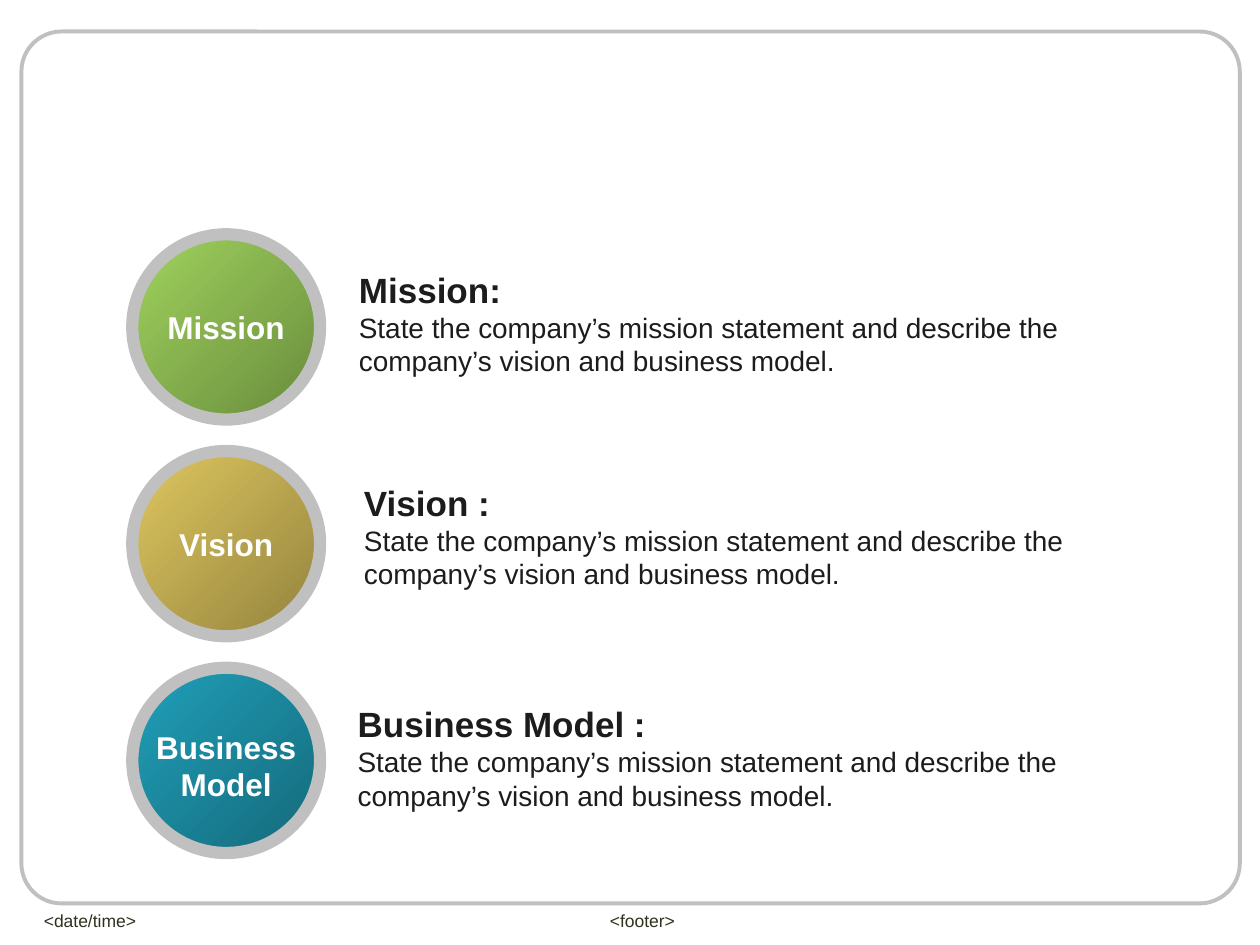
from pptx import Presentation
from pptx.dml.color import RGBColor
from pptx.enum.shapes import MSO_SHAPE as Shape
from pptx.enum.text import MSO_AUTO_SIZE as AutoSize, PP_ALIGN as Align
from pptx.util import Inches, Pt

COLORS = {
    "frame": "C0C0C0", "footer": "30311D", "text": "1C1C1C", "label": "FFFFFF",
    "green_dark": "698B3D", "green_light": "A0D35D",
    "gold_dark": "93833E", "gold_light": "DFC75F",
    "teal_dark": "15697A", "teal_light": "20A0BA",
}
WIDTH, HEIGHT = 10, 7.5
LEFT, TOP = 1.05, 1.86
ROW_PITCH = 1.72
CIRCLE_WIDTH, CIRCLE_HEIGHT = 1.49, 1.47
STATEMENT = ("State the company’s mission statement and describe the "
             "company’s vision and business model.")
ROWS = [
    {"label": "Mission", "label_size": (1.13, 0.4), "label_shift": 0, "hue": "green",
     "heading": "Mission:", "text_box": (1.7, 0.22, 6.42, 0.97)},
    {"label": "Vision", "label_size": (0.95, 0.4), "label_shift": 0, "hue": "gold",
     "heading": "Vision :", "text_box": (1.74, 0.19, 6.28, 0.97)},
    {"label": "Business Model", "label_size": (1.39, 0.7), "label_shift": 0.04, "hue": "teal",
     "heading": "Business Model :", "text_box": (1.69, 0.23, 6.03, 0.97)},
]


def color(name):
    return RGBColor.from_string(COLORS[name])


def add_outlined_shape(slide, kind, box, line_width):
    shape = slide.shapes.add_shape(kind, *map(Inches, box))
    shape.shadow.inherit = False
    shape.line.color.rgb = color("frame")
    shape.line.width = Pt(line_width)
    return shape


def add_text(slide, box, lines, color_name, align=Align.LEFT, auto_size=AutoSize.SHAPE_TO_FIT_TEXT):
    frame = slide.shapes.add_textbox(*map(Inches, box)).text_frame
    frame.word_wrap = True
    frame.auto_size = auto_size
    for index, (text, size, bold) in enumerate(lines):
        paragraph = frame.add_paragraph() if index else frame.paragraphs[0]
        paragraph.alignment = align
        run = paragraph.add_run()
        run.text = text
        run.font.name = "Arial"
        run.font.size = Pt(size)
        run.font.bold = bold
        run.font.color.rgb = color(color_name)


def add_frame(slide, box):
    frame = add_outlined_shape(slide, Shape.ROUNDED_RECTANGLE, box, 2.25)
    frame.adjustments[0] = 0.046
    frame.fill.background()


def add_footer(slide, box):
    left, top, width, height = box
    for text, offset, share, align in (("<date/time>", 0, 0.24, Align.LEFT),
                                       ("<footer>", 0.34, 0.33, Align.CENTER)):
        add_text(slide, (left + offset * width, top, share * width, height),
                 [(text, 10, False)], "footer", align, AutoSize.NONE)


def add_circle(slide, box, row):
    left, top, width, height = box
    circle = add_outlined_shape(slide, Shape.FLOWCHART_CONNECTOR, box, 7)
    circle.fill.gradient()
    circle.fill.gradient_angle = 135
    for stop, shade in zip(circle.fill.gradient_stops, ("dark", "light")):
        stop.color.rgb = color(f"{row['hue']}_{shade}")
    label_width, label_height = row["label_size"]
    label_box = (left + (width - label_width) / 2,
                 top + (height - label_height) / 2 + row["label_shift"],
                 label_width, label_height)
    add_text(slide, label_box, [(row["label"], 18, True)], "label", Align.CENTER)


def add_row(slide, left, top, row):
    add_circle(slide, (left, top, CIRCLE_WIDTH, CIRCLE_HEIGHT), row)
    offset_left, offset_top, width, height = row["text_box"]
    add_text(slide, (left + offset_left, top + offset_top, width, height),
             [(row["heading"], 20, True), (STATEMENT, 16, False)], "text")


def main():
    presentation = Presentation()
    presentation.slide_width = Inches(WIDTH)
    presentation.slide_height = Inches(HEIGHT)
    slide = presentation.slides.add_slide(presentation.slide_layouts[6])
    add_frame(slide, (0.17, 0.25, 9.67, 6.92))
    add_footer(slide, (0.25, 7.17, 9.6, 0.27))
    for index, row in enumerate(ROWS):
        add_row(slide, LEFT, TOP + index * ROW_PITCH, row)
    presentation.save("out.pptx")


if __name__ == "__main__":
    main()
